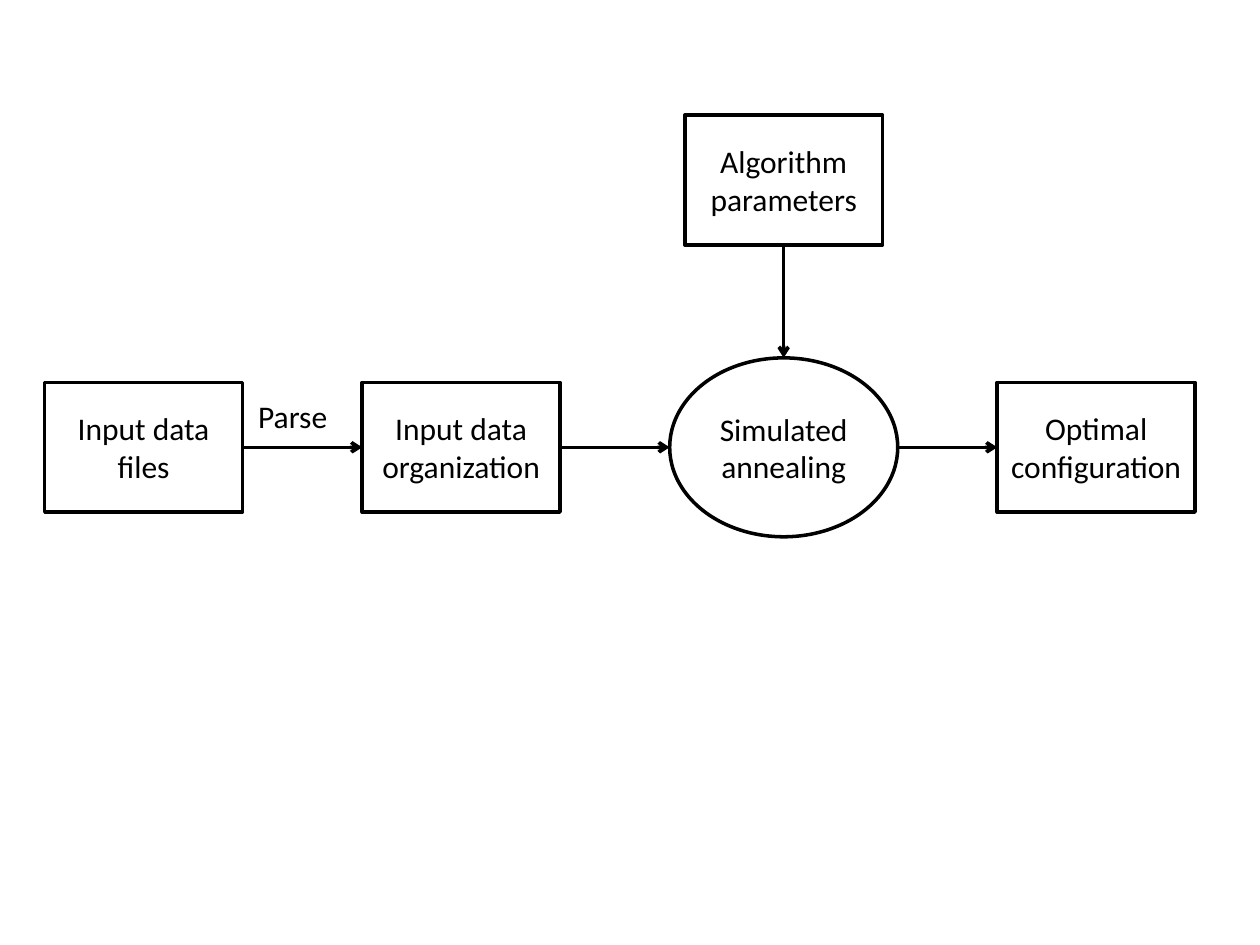
from dataclasses import dataclass

from lxml import etree
from pptx import Presentation
from pptx.dml.color import RGBColor
from pptx.enum.shapes import MSO_CONNECTOR, MSO_SHAPE
from pptx.enum.text import MSO_ANCHOR, PP_ALIGN
from pptx.oxml.ns import qn
from pptx.util import Inches, Pt

SLIDE_W, SLIDE_H = 10, 7.5
FLOW_Y, PARAMS_Y = 3.55, 1.43  # centre lines of the two rows
BOX_W, BOX_H = 1.57, 1.03
INK, PAPER = "000000", "FFFFFF"


@dataclass(frozen=True)
class Node:
    text: str
    x: float  # centre
    y: float = FLOW_Y
    w: float = BOX_W
    h: float = BOX_H
    kind: MSO_SHAPE = MSO_SHAPE.RECTANGLE


def color(value: str) -> RGBColor:
    return RGBColor.from_string(value)


def write(frame, text: str, align: PP_ALIGN) -> None:
    paragraph = frame.paragraphs[0]
    paragraph.alignment = align
    run = paragraph.add_run()
    run.text = text
    run.font.name = "Calibri"
    run.font.size = Pt(18)
    run.font.color.rgb = color(INK)


def stroke(line) -> None:
    line.color.rgb = color(INK)
    line.width = Pt(2)


def draw_node(slide, node: Node) -> None:
    shape = slide.shapes.add_shape(
        node.kind, Inches(node.x - node.w / 2), Inches(node.y - node.h / 2),
        Inches(node.w), Inches(node.h))
    shape.shadow.inherit = False
    shape.fill.solid()
    shape.fill.fore_color.rgb = color(PAPER)
    stroke(shape.line)
    shape.text_frame.word_wrap = True
    shape.text_frame.vertical_anchor = MSO_ANCHOR.MIDDLE
    write(shape.text_frame, node.text, PP_ALIGN.CENTER)


def draw_arrow(slide, source: Node, target: Node) -> None:
    """Join facing edges: sideways within a row, downwards between rows."""
    if source.y == target.y:
        start = source.x + source.w / 2, source.y
        end = target.x - target.w / 2, target.y
    else:
        start = source.x, source.y + source.h / 2
        end = target.x, target.y - target.h / 2
    arrow = slide.shapes.add_connector(
        MSO_CONNECTOR.STRAIGHT, *(Inches(v) for v in start + end))
    stroke(arrow.line)
    etree.SubElement(arrow.line._get_or_add_ln(), qn("a:tailEnd"), type="arrow")
    etree.SubElement(arrow._element.spPr, qn("a:effectLst"))


prs = Presentation()
prs.slide_width, prs.slide_height = Inches(SLIDE_W), Inches(SLIDE_H)
slide = prs.slides.add_slide(prs.slide_layouts[6])

# Label above the first arrow
label = slide.shapes.add_textbox(Inches(1.95), Inches(3.1), Inches(0.79), Inches(0.4))
label.text_frame.word_wrap = True
write(label.text_frame, "Parse", PP_ALIGN.LEFT)

# Process steps
files = Node("Input data files", 1.14)
organization = Node("Input data organization", 3.66)
annealing = Node("Simulated annealing", 6.22, w=1.81, h=1.42, kind=MSO_SHAPE.OVAL)
result = Node("Optimal configuration", 8.7)
parameters = Node("Algorithm parameters", annealing.x, PARAMS_Y)
for step in (files, organization, annealing, result, parameters):
    draw_node(slide, step)

# Flow between the steps
for source, target in ((files, organization), (organization, annealing),
                       (annealing, result), (parameters, annealing)):
    draw_arrow(slide, source, target)

prs.save("out.pptx")
